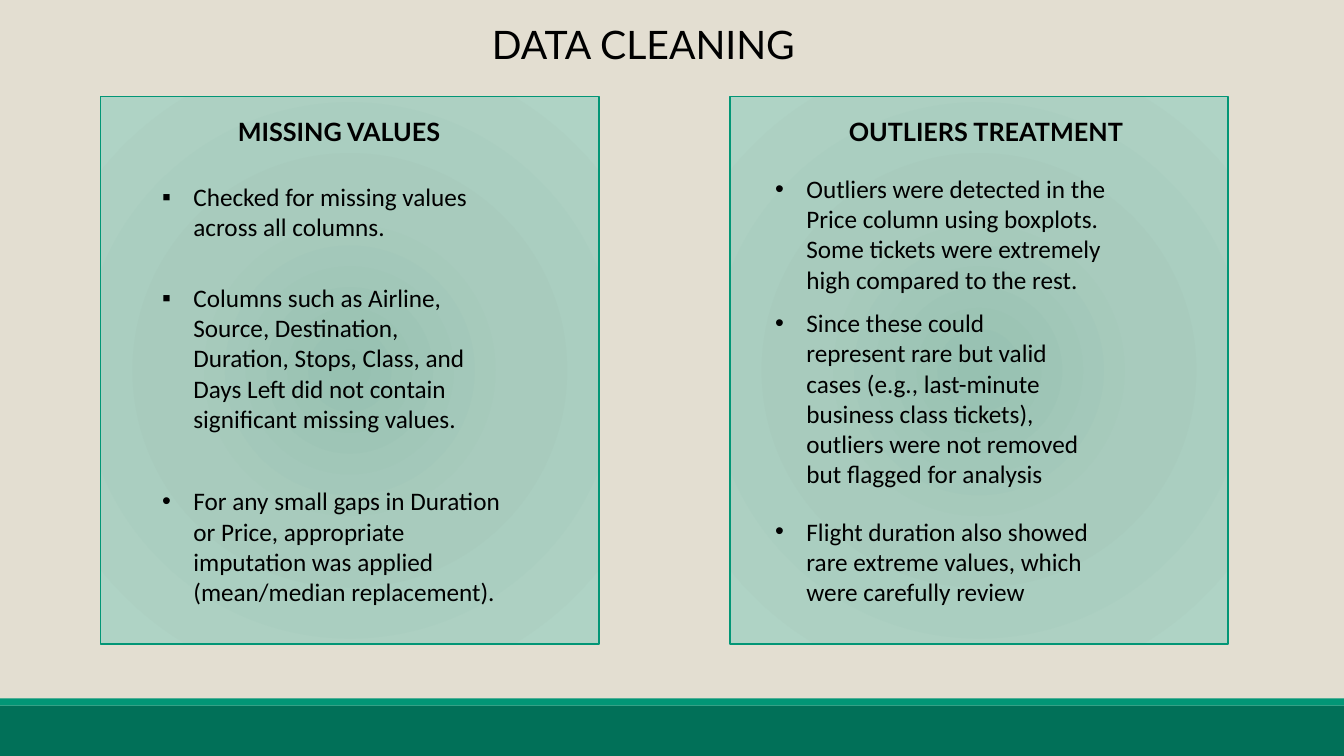
from dataclasses import dataclass

from lxml import etree
from pptx import Presentation
from pptx.dml.color import RGBColor
from pptx.enum.shapes import MSO_SHAPE
from pptx.oxml import parse_xml
from pptx.oxml.ns import nsdecls, qn
from pptx.util import Emu, Pt

RECTANGLE = MSO_SHAPE.RECTANGLE
PX = 9144  # EMU per px, 100 px to the inch


@dataclass(frozen=True)
class Theme:
    background: str = "E3DED1"
    footer: str = "017058"
    accent: str = "029676"
    text: str = "000000"
    panel_stops: tuple = ((0, "97C1B1"), (45, "A8CBBD"), (100, "AFD3C5"))
    heading_font: str = "Lato"
    body_font: str = "Calibri"
    title_size: int = 28
    body_size: int = 18


class Deck:
    def __init__(self, theme, width, height):
        self.theme = theme
        self.prs = Presentation()
        self.prs.slide_width, self.prs.slide_height = Emu(width * PX), Emu(height * PX)
        self.slide = self.prs.slides.add_slide(self.prs.slide_layouts[6])
        fill = self.slide.background.fill
        fill.solid()
        fill.fore_color.rgb = RGBColor.from_string(theme.background)

    def rect(self, *box):
        shape = self.slide.shapes.add_shape(RECTANGLE, *(Emu(v * PX) for v in box))
        shape.shadow.inherit = False
        return shape

    def bar(self, box, color):
        bar = self.rect(*box)
        bar.fill.solid()
        bar.fill.fore_color.rgb = RGBColor.from_string(color)
        bar.line.fill.background()

    def panel(self, *box):
        panel = self.rect(*box)
        panel.line.color.rgb = RGBColor.from_string(self.theme.accent)
        panel.line.width = Pt(1)
        # Circular gradient spreading from the centre
        stops = "".join(
            f'<a:gs pos="{pos * 1000}"><a:srgbClr val="{color}"/></a:gs>'
            for pos, color in self.theme.panel_stops)
        gradient = parse_xml(
            f'<a:gradFill {nsdecls("a")} rotWithShape="1"><a:gsLst>{stops}</a:gsLst>'
            '<a:path path="circle"><a:fillToRect l="100000" t="100000" '
            'r="100000" b="100000"/></a:path></a:gradFill>')
        panel._element.spPr.find(qn("a:prstGeom")).addnext(gradient)

    def text(self, box, words, font, size, bold=False, bullet=None):
        frame = self.slide.shapes.add_textbox(*(Emu(v * PX) for v in box)).text_frame
        frame.word_wrap = True
        paragraph = frame.paragraphs[0]
        if bullet:
            props = paragraph._p.get_or_add_pPr()
            props.set("marL", str(31 * PX))
            props.set("indent", str(-31 * PX))
            etree.SubElement(props, qn("a:buFont")).set("typeface", "Arial")
            etree.SubElement(props, qn("a:buChar")).set("char", bullet)
        run = paragraph.add_run()
        run.text = words
        run.font.name, run.font.size, run.font.bold = font, Pt(size), bold
        run.font.color.rgb = RGBColor.from_string(self.theme.text)

    def heading(self, box, words, size, bold=False):
        self.text(box, words, self.theme.heading_font, size, bold)

    def bullet(self, box, words, mark):
        self.text(box, words, self.theme.body_font, self.theme.body_size, bullet=mark)


# Panel left, heading (left, width, words), bullets' left,
# bullets (top, width, height, mark, words)
COLUMNS = [
    (100, (226, 268, "MISSING VALUES"), 151, [
        (175, 359, 101, "▪", "Checked for missing values across all columns."),
        (275, 320, 222, "▪", "Columns such as Airline, Source, Destination, Duration, Stops, "
         "Class, and Days Left did not contain significant missing values."),
        (477, 359, 131, "•", "For any small gaps in Duration or Price, appropriate "
         "imputation was applied (mean/median replacement)."),
    ]),
    (724, (832, 310, "OUTLIERS TREATMENT"), 759, [
        (167, 350, 162, "•", "Outliers were detected in the Price column using boxplots. "
         "Some tickets were extremely high compared to the rest."),
        (300, 328, 192, "•", "Since these could represent rare but valid cases (e.g., "
         "last-minute business class tickets), outliers were not removed but flagged "
         "for analysis"),
        (507, 339, 101, "•", "Flight duration also showed rare extreme values, which "
         "were carefully review"),
    ]),
]


def main():
    theme = Theme()
    deck = Deck(theme, 1333, 750)

    # Footer
    deck.bar((0, 700, 1333, 50), theme.footer)
    deck.bar((0, 693, 1333, 7), theme.accent)

    # Title
    deck.heading((478, 15, 720, 57), "DATA CLEANING", theme.title_size)

    # Panels with their headings and bullets
    for panel_left, (heading_left, heading_width, topic), bullet_left, findings in COLUMNS:
        deck.panel(panel_left, 96, 494, 543)
        deck.heading((heading_left, 111, heading_width, 40), topic, theme.body_size, bold=True)
        for top, width, height, mark, finding in findings:
            deck.bullet((bullet_left, top, width, height), finding, mark)

    deck.prs.save("out.pptx")


if __name__ == "__main__":
    main()
